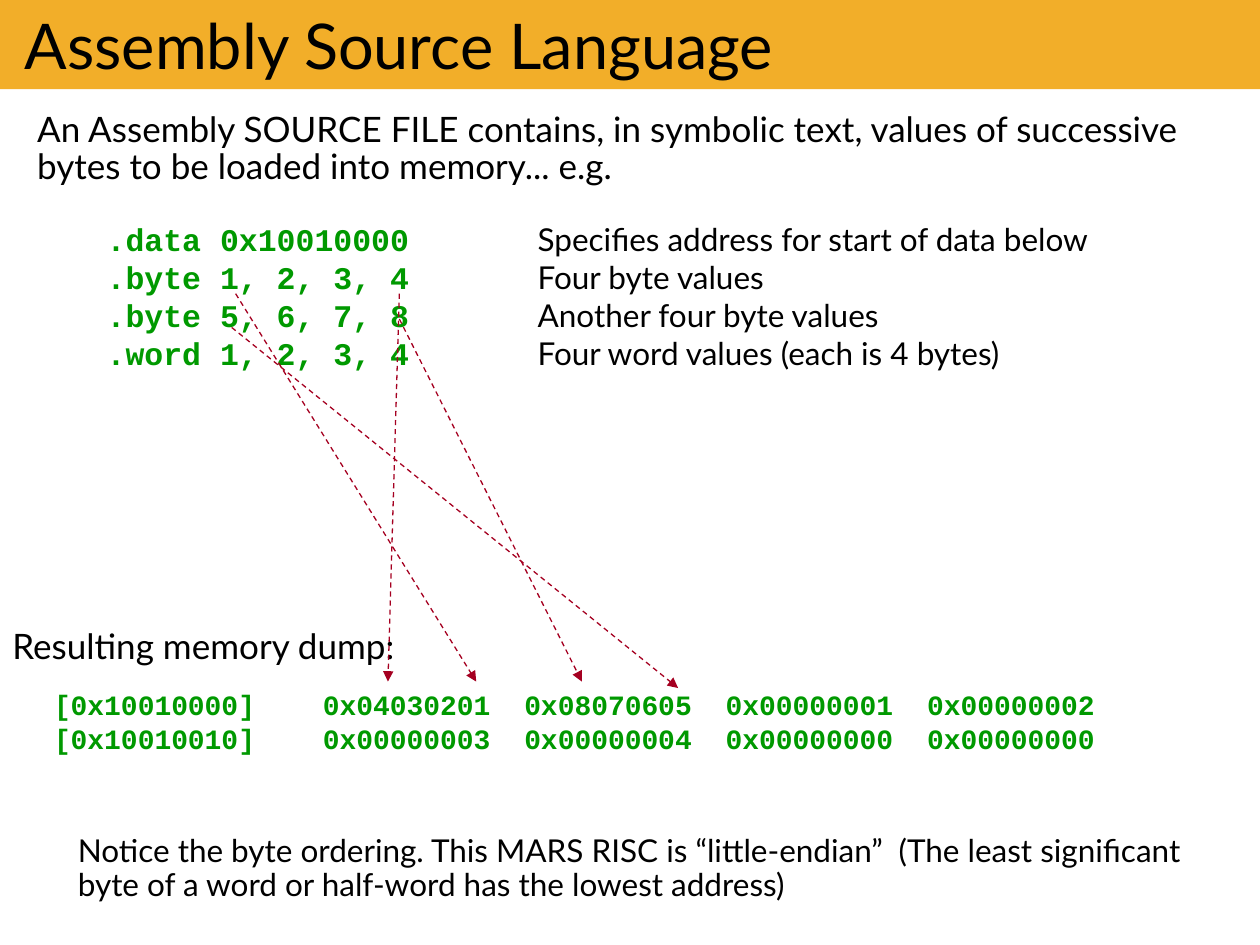
from pptx import Presentation
from pptx.dml.color import RGBColor
from pptx.enum.dml import MSO_LINE
from pptx.enum.shapes import MSO_CONNECTOR
from pptx.enum.text import MSO_ANCHOR, MSO_AUTO_SIZE, PP_ALIGN
from pptx.oxml.ns import qn
from pptx.util import Cm, Pt
from lxml.etree import SubElement

HEX = {"bar": "F2AE29", "text": "000000", "code": "009900", "arrow": "A50021"}
SANS, MONO = "Lato", "Courier New"

CODE = [
    (".data 0x10010000", "Specifies address for start of data below"),
    (".byte 1, 2, 3, 4", "Four byte values"),
    (".byte 5, 6, 7, 8", "Another four byte values"),
    (".word 1, 2, 3, 4", "Four word values (each is 4 bytes)"),
]
DUMP = [
    ("[0x10010000]", "0x04030201", "0x08070605", "0x00000001", "0x00000002"),
    ("[0x10010010]", "0x00000003", "0x00000004", "0x00000000", "0x00000000"),
]
# Start and end of each arrow, from a byte value to its place in the dump
ARROWS = [
    (8.05, 5.92, 7.82, 13.74),
    (4.75, 5.92, 9.6, 13.74),
    (8.05, 6.43, 11.73, 13.74),
    (4.67, 6.6, 13.67, 13.87),
]


def color(name):
    return RGBColor.from_string(HEX[name])


def style(para, size, face=SANS, tone="text", bold=False):
    font = para.font
    font.name, font.size, font.bold = face, Pt(size), bold
    font.color.rgb = color(tone)


def add_tabs(para, stops):
    tabs = SubElement(para._p.get_or_add_pPr(), qn("a:tabLst"))
    for stop in stops:
        SubElement(tabs, qn("a:tab"), pos=str(Cm(stop)), algn="l")


def add_title(slide, text):
    title = slide.shapes.title
    title.left, title.top = Cm(0), Cm(0)
    title.width, title.height = Cm(25.4), Cm(1.8)
    title.fill.solid()
    title.fill.fore_color.rgb = color("bar")
    frame = title.text_frame
    frame.text = text
    frame.auto_size = MSO_AUTO_SIZE.NONE
    frame.vertical_anchor = MSO_ANCHOR.MIDDLE
    frame.margin_left = frame.margin_right = Cm(0.5)
    para = frame.paragraphs[0]
    para.alignment = PP_ALIGN.LEFT
    style(para, 36)


def add_text(slide, box, lines, size, space=None, stops=(), **look):
    """Add a text box with one paragraph for each line."""
    frame = slide.shapes.add_textbox(*map(Cm, box)).text_frame
    frame.word_wrap = True
    frame.text = "\n".join(lines)
    for para in frame.paragraphs:
        if space:
            para.line_spacing = space
        if stops:
            add_tabs(para, stops)
        style(para, size, **look)


def add_arrow(slide, ends):
    arrow = slide.shapes.add_connector(MSO_CONNECTOR.STRAIGHT, *map(Cm, ends))
    line = arrow.line
    line.color.rgb = color("arrow")
    line.width = Pt(0.75)
    line.dash_style = MSO_LINE.DASH
    SubElement(line._get_or_add_ln(), qn("a:tailEnd"), type="triangle")
    SubElement(arrow._element.spPr, qn("a:effectLst"))


def main():
    deck = Presentation()
    deck.slide_width, deck.slide_height = Cm(25.4), Cm(19.05)
    slide = deck.slides.add_slide(deck.slide_layouts[5])
    green = {"face": MONO, "tone": "code", "bold": True}

    add_title(slide, "Assembly Source Language")
    add_text(slide, (0.5, 2.13, 24.36, 1.78), [
        "An Assembly SOURCE FILE contains, in symbolic text, values of "
        "successive bytes to be loaded into memory... e.g."], 20, 0.9)
    add_text(slide, (0, 12.57, 8.43, 1.02), ["Resulting memory dump:"], 20, 0.9)

    code, notes = zip(*CODE)
    add_text(slide, (1.9, 4.32, 6.63, 3.33), code, 18, **green)
    add_text(slide, (0.84, 13.74, 21.77, 1.63), ["\t".join(row) for row in DUMP],
             16, stops=[5.42 + 4.06 * col for col in range(4)], **green)
    add_text(slide, (1.32, 16.71, 23.57, 1.63), [
        "Notice the byte ordering. This MARS RISC is “little-endian”  (The least "
        "significant byte of a word or half-word has the lowest address)"], 18, 0.9)
    add_text(slide, (10.59, 4.32, 11.89, 3.33), notes, 18)

    for ends in ARROWS:
        add_arrow(slide, ends)
    deck.save("out.pptx")


if __name__ == "__main__":
    main()
